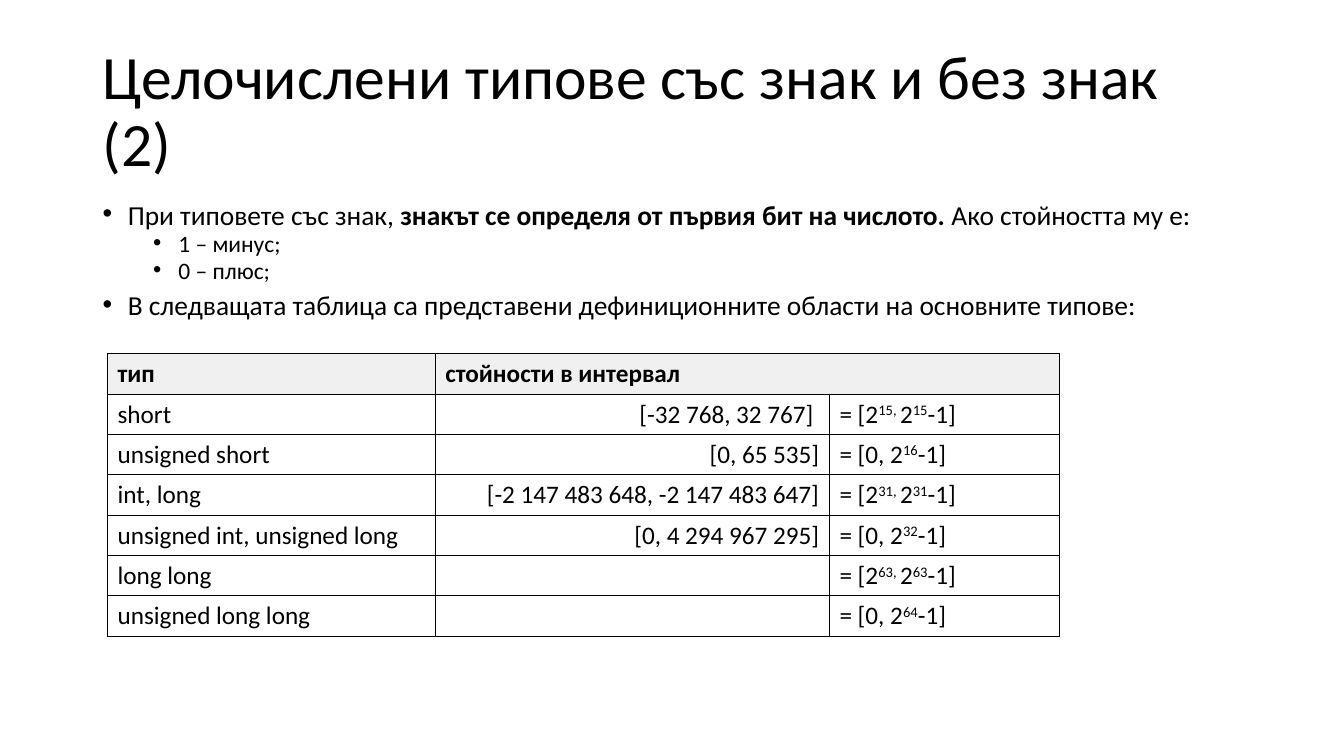
from lxml import etree
from pptx import Presentation
from pptx import util as u
from pptx.dml.color import RGBColor
from pptx.enum import text
from pptx.oxml.ns import qn

BLACK = RGBColor(0x00, 0x00, 0x00)
WHITE = RGBColor(0xFF, 0xFF, 0xFF)
HEADER_GREY = RGBColor(0xF0, 0xF0, 0xF0)
FONT = "Calibri"
WIDTH, HEIGHT = u.Inches(13.33), u.Inches(7.5)

TITLE = "Целочислени типове със знак и без знак (2)"
# Bullet level and text; * encloses bold words
BULLETS = [
    (0, "При типовете със знак, *знакът се определя от първия бит на числото. *Ако стойността му е:"),
    (1, "1 – минус;"),
    (1, "0 – плюс;"),
    (0, "В следващата таблица са представени дефиниционните области на основните типове:"),
]
# Size, space before and left indent of each bullet level
LEVELS = [(19.6, 10, 0.25), (16.8, 5, 0.75)]

HEADERS = ["тип", "стойности в интервал", ""]
# Type, decimal range, range in powers of two; ^ encloses exponents
TYPES = [
    ("short", "[-32 768, 32 767] ", "= [2^15, ^2^15^-1]"),
    ("unsigned short", "[0, 65 535]", "= [0, 2^16^-1]"),
    ("int, long", "[-2 147 483 648, -2 147 483 647]", "= [2^31, ^2^31^-1]"),
    ("unsigned int, unsigned long", "[0, 4 294 967 295]", "= [0, 2^32^-1]"),
    ("long long", "", "= [2^63, ^2^63^-1]"),
    ("unsigned long long", "", "= [0, 2^64^-1]"),
]
COLUMNS = [3.25, 3.91, 2.28]
ROW = 0.4


def set_attrs(obj, values):
    for name, value in values.items():
        setattr(obj, name, value)


def add_run(p, words, size, bold=False, superscript=False):
    r = p.add_run()
    r.text = words
    set_attrs(r.font, {"name": FONT, "size": u.Pt(size), "bold": bold})
    r.font.color.rgb = BLACK
    if superscript:
        r._r.get_or_add_rPr().set("baseline", "30000")


def add_text_box(slide, left, top, width, height, anchor):
    """Add a wrapping text box placed by shares of the slide's size."""
    sp = slide.shapes.add_textbox(int(left * WIDTH), int(top * HEIGHT),
                                  int(width * WIDTH), int(height * HEIGHT))
    set_attrs(sp.text_frame, {"word_wrap": True, "vertical_anchor": anchor})
    return sp.text_frame


def add_bullet(p, level, words):
    size, before, indent = LEVELS[level]
    set_attrs(p, {"level": level, "line_spacing": 0.7, "space_before": u.Pt(before)})
    pPr = p._p.get_or_add_pPr()
    pPr.set("marL", str(u.Inches(indent)))
    pPr.set("indent", str(-u.Inches(0.25)))
    etree.SubElement(pPr, qn("a:buFont")).set("typeface", "Arial")
    etree.SubElement(pPr, qn("a:buChar")).set("char", "•")
    for i, part in enumerate(words.split("*")):
        add_run(p, part, size, bold=i % 2 == 1)


def add_borders(cell):
    tcPr = cell._tc.get_or_add_tcPr()
    for side in ("a:lnL", "a:lnR", "a:lnT", "a:lnB"):
        ln = etree.SubElement(tcPr, qn(side), w=str(u.Pt(0.75)))
        fill = etree.SubElement(ln, qn("a:solidFill"))
        etree.SubElement(fill, qn("a:srgbClr"), val=str(BLACK))


def fill_cell(cell, words, header, align):
    add_borders(cell)
    cell.fill.solid()
    cell.fill.fore_color.rgb = HEADER_GREY if header else WHITE
    cell.vertical_anchor = text.MSO_ANCHOR.MIDDLE
    p = cell.text_frame.paragraphs[0]
    p.alignment = align
    if words:
        for i, part in enumerate(words.split("^")):
            add_run(p, part, 18, bold=header, superscript=i % 2 == 1)


def add_types_table(slide, left, top):
    rows = [HEADERS] + TYPES
    table = slide.shapes.add_table(
        len(rows), len(COLUMNS), int(left * WIDTH), int(top * HEIGHT),
        u.Inches(sum(COLUMNS)), u.Inches(ROW * len(rows))).table
    set_attrs(table, {"first_row": False, "horz_banding": False})
    for column, width in zip(table.columns, COLUMNS):
        column.width = u.Inches(width)
    for i, row in enumerate(rows):
        table.rows[i].height = u.Inches(ROW)
        for j, words in enumerate(row):
            right = i > 0 and j == 1
            align = text.PP_ALIGN.RIGHT if right else text.PP_ALIGN.LEFT
            fill_cell(table.cell(i, j), words, i == 0, align)
    table.cell(0, 1).merge(table.cell(0, 2))


def main():
    prs = Presentation()
    set_attrs(prs, {"slide_width": WIDTH, "slide_height": HEIGHT})
    slide = prs.slides.add_slide(prs.slide_layouts[6])

    # Title
    tf = add_text_box(slide, 0.069, 0.053, 0.863, 0.193, text.MSO_ANCHOR.MIDDLE)
    p = tf.paragraphs[0]
    p.line_spacing = 0.9
    add_run(p, TITLE, 44)

    # Bullets
    tf = add_text_box(slide, 0.069, 0.267, 0.856, 0.233, text.MSO_ANCHOR.TOP)
    for i, (level, words) in enumerate(BULLETS):
        p = tf.add_paragraph() if i else tf.paragraphs[0]
        add_bullet(p, level, words)

    # Table of value ranges
    add_types_table(slide, 0.08, 0.468)

    prs.save("out.pptx")


if __name__ == "__main__":
    main()
